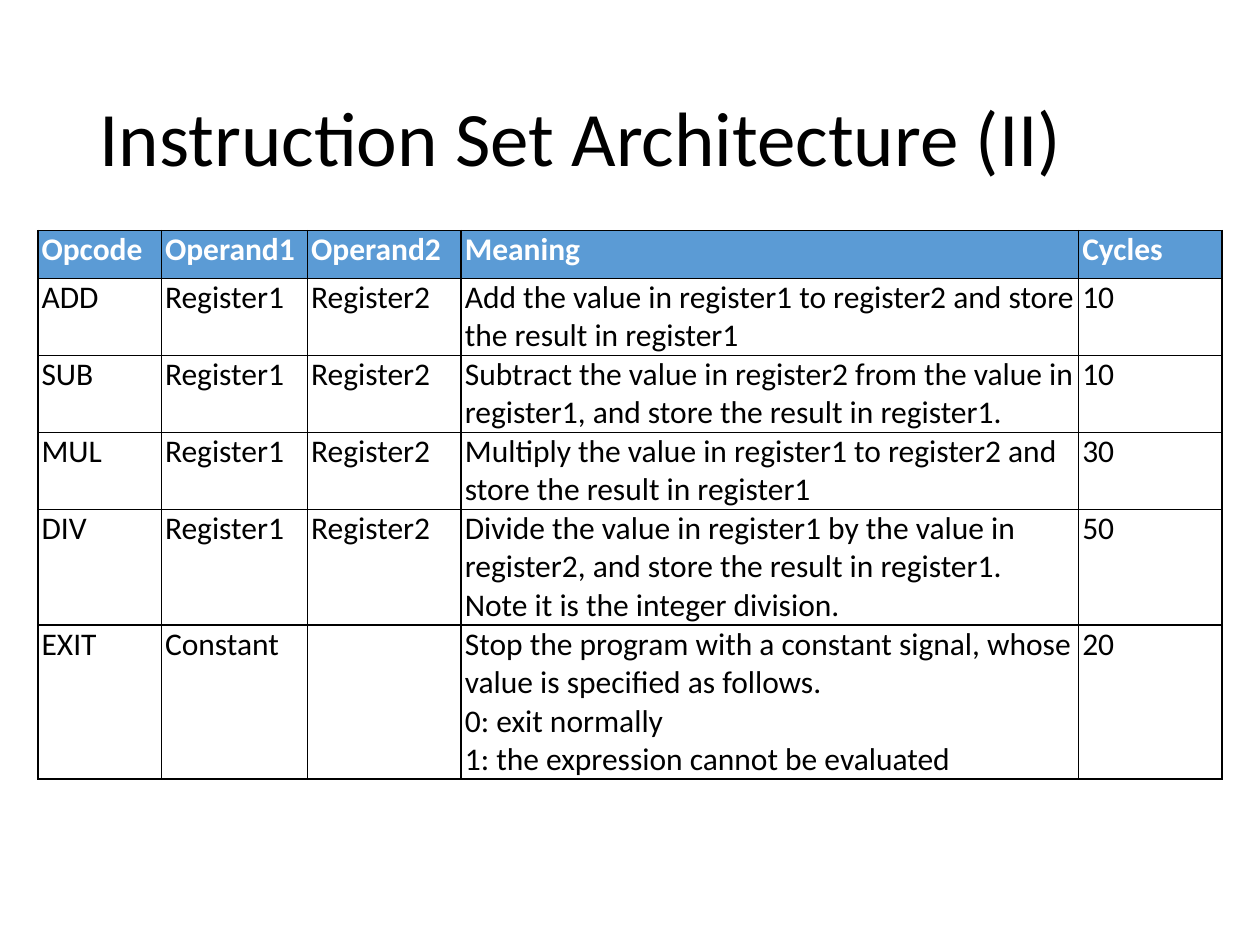
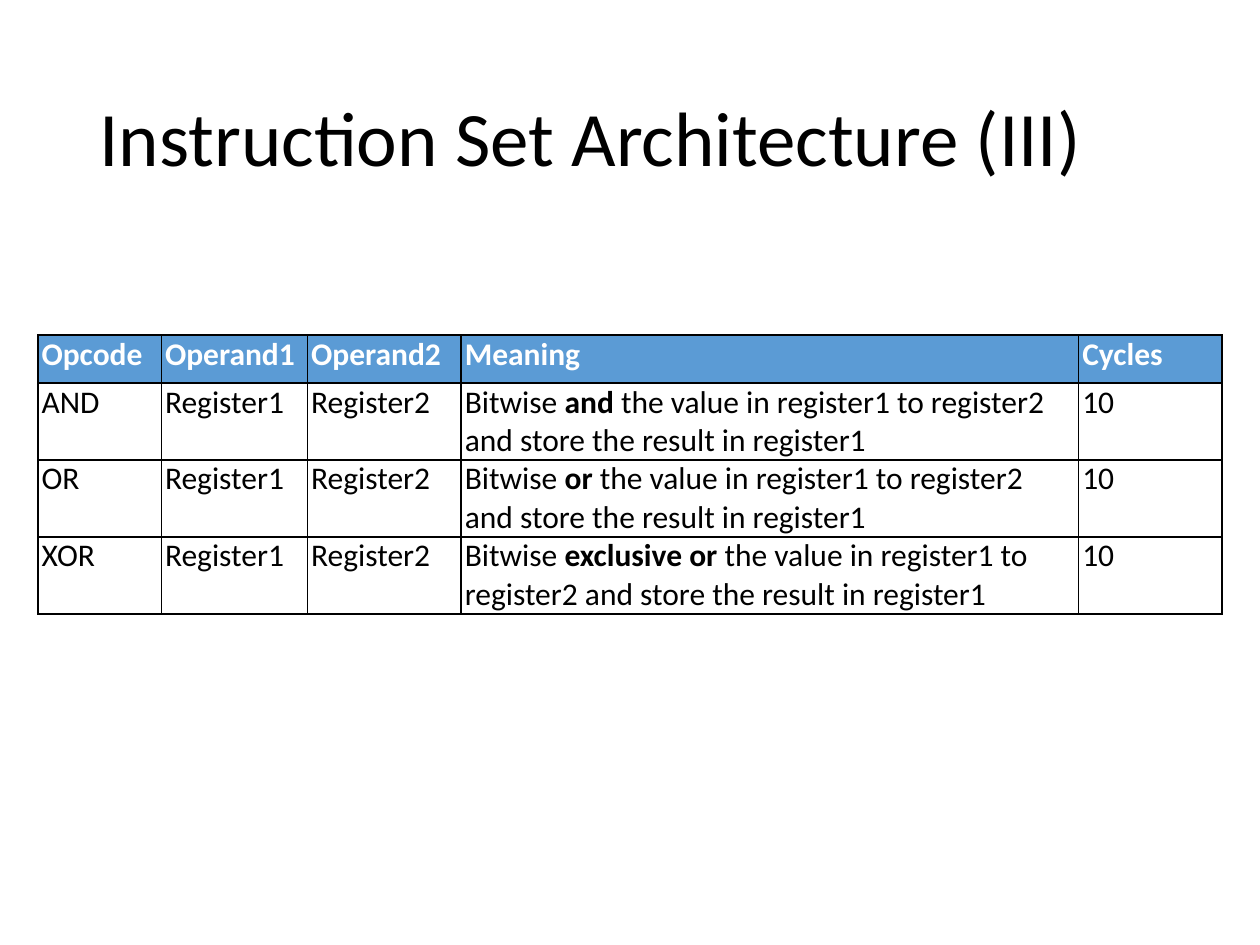
import pptx
import pptx.util
import pptx.dml.color
import pptx.enum.text
import pptx.oxml
import pptx.oxml.ns

Inches = pptx.util.Inches
Pt = pptx.util.Pt
RGBColor = pptx.dml.color.RGBColor

BLACK = RGBColor(0x00, 0x00, 0x00)
WHITE = RGBColor(0xFF, 0xFF, 0xFF)
BLUE = RGBColor(0x5B, 0x9B, 0xD5)
FONT = "Calibri"

HEAD = ("Opcode", "Operand1", "Operand2", "Meaning", "Cycles")
WIDTHS = (0.98, 1.16, 1.22, 4.9, 1.14)
LEFT = 0.3
HEAD_TALL = 0.38
TALL = {2: 0.61, 3: 0.92, 4: 1.22}  # row height by lines of text
REGS = ("Register1", "Register2")

# Each row: lines of text, then its cells. Words between ** are bold.
SLIDES = [
    {
        "title": "Instruction Set Architecture (II)",
        "top": 1.83,
        "rows": [
            (2, "ADD", *REGS, "Add the value in register1 to register2 "
             "and store the result in register1", "10"),
            (2, "SUB", *REGS, "Subtract the value in register2 from the value "
             "in register1, and store the result in register1.", "10"),
            (2, "MUL", *REGS, "Multiply the value in register1 to register2 "
             "and store the result in register1", "30"),
            (3, "DIV", *REGS, "Divide the value in register1 by the value in "
             "register2, and store the result in register1.\u00a0 "
             "Note it is the integer division.", "50"),
            (4, "EXIT", "Constant", "", "Stop the program with a constant "
             "signal, whose value is specified as follows.\n"
             "0: exit normally\n"
             "1: the expression cannot be evaluated", "20"),
        ],
    },
    {
        "title": "Instruction Set Architecture (III)",
        "top": 2.66,
        "rows": [
            (2, name, *REGS, f"Bitwise **{word}** the value in register1 to "
             "register2 and store the result in register1", "10")
            for name, word in (("AND", "and"), ("OR", "or"),
                               ("XOR", "exclusive or"))
        ],
    },
]


def write(frame, text, size=18, color=BLACK, bold=False, space=None):
    """Fill a text frame, one paragraph a line, with ** around bold words."""
    for i, line in enumerate(text.split("\n")):
        para = frame.add_paragraph() if i else frame.paragraphs[0]
        para.alignment = pptx.enum.text.PP_ALIGN.LEFT
        para.line_spacing = space
        para.font.size = Pt(size)
        for j, part in enumerate(line.split("**")):
            if part:
                run = para.add_run()
                run.text = part
                run.font.name = FONT
                run.font.size = Pt(size)
                run.font.bold = bold or j % 2 == 1
                run.font.color.rgb = color


def border(cell):
    """Draw a thin black line on all four sides of a cell."""
    props = cell._tc.get_or_add_tcPr()
    for side in ("lnL", "lnR", "lnT", "lnB"):
        props.append(pptx.oxml.parse_xml(
            f'<a:{side} {pptx.oxml.ns.nsdecls("a")} w="{Pt(1)}">'
            f'<a:solidFill><a:srgbClr val="{BLACK}"/></a:solidFill>'
            f'</a:{side}>'))


def style(cell, fill):
    """Set the margins, border and fill of a cell."""
    cell.margin_left = cell.margin_right = Inches(0.03)
    cell.margin_top = cell.margin_bottom = 0
    border(cell)
    cell.fill.solid()
    cell.fill.fore_color.rgb = fill


def add_grid(slide, top, rows):
    """Add the instruction table with its header row."""
    talls = [HEAD_TALL] + [TALL[row[0]] for row in rows]
    grid = slide.shapes.add_table(
        len(talls), len(WIDTHS), Inches(LEFT), Inches(top),
        Inches(sum(WIDTHS)), Inches(sum(talls))).table
    grid.horz_banding = False
    for col, width in zip(grid.columns, WIDTHS):
        col.width = Inches(width)
    for r, texts in enumerate([HEAD] + [row[1:] for row in rows]):
        grid.rows[r].height = Inches(talls[r])
        head = r == 0
        for c, text in enumerate(texts):
            cell = grid.cell(r, c)
            style(cell, BLUE if head else WHITE)
            write(cell.text_frame, text, bold=head,
                  color=WHITE if head else BLACK)


def add_title(slide, text):
    """Place and fill the title placeholder."""
    title = slide.shapes.title
    title.left, title.top = Inches(0.69), Inches(0.4)
    title.width, title.height = Inches(8.62), Inches(1.45)
    frame = title.text_frame
    frame.vertical_anchor = pptx.enum.text.MSO_ANCHOR.MIDDLE
    write(frame, text, size=44, space=0.9)


def main():
    """Build the deck and save it."""
    deck = pptx.Presentation()
    deck.slide_width, deck.slide_height = Inches(10), Inches(7.5)
    for page in SLIDES:
        slide = deck.slides.add_slide(deck.slide_layouts[5])
        add_title(slide, page["title"])
        add_grid(slide, page["top"], page["rows"])
    deck.save("out.pptx")


main()
